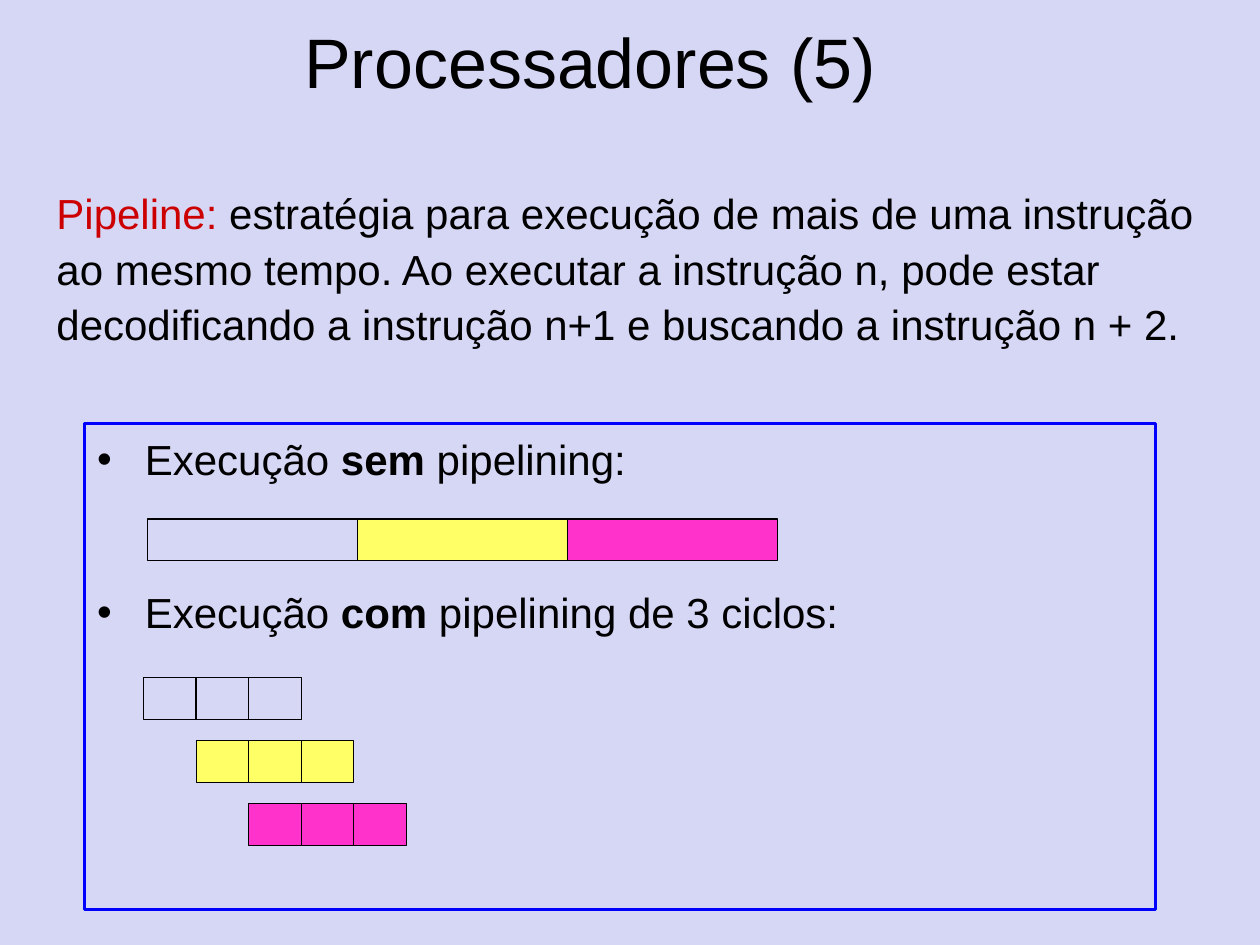
"""Build the slide on instruction pipelining."""
from dataclasses import dataclass

import pptx
import pptx.dml.color
import pptx.enum.shapes
import pptx.enum.text
import pptx.util
from lxml import etree
from pptx.oxml.ns import qn

Inches = pptx.util.Inches
Pt = pptx.util.Pt
RGB = pptx.dml.color.RGBColor.from_string


@dataclass
class Theme:
    back: str = "D6D6F5"
    ink: str = "000000"
    accent: str = "CC0000"
    frame: str = "0000FF"
    yellow: str = "FFFF66"
    pink: str = "FF33CC"
    font: str = "Arial"
    title: int = 40
    body: int = 24


theme = Theme()


def add_run(p, text, size=theme.body, color=theme.ink, bold=False):
    r = p.add_run()
    r.text = text
    r.font.name = theme.font
    r.font.size = Pt(size)
    r.font.bold = bold
    r.font.color.rgb = RGB(color)


def add_cell(s, left, top, width, fill):
    sp = s.shapes.add_shape(pptx.enum.shapes.MSO_SHAPE.RECTANGLE, Inches(left), Inches(top), Inches(width), Inches(0.33))
    sp.shadow.inherit = False
    if fill:
        sp.fill.solid()
        sp.fill.fore_color.rgb = RGB(fill)
    else:
        sp.fill.background()
    sp.line.color.rgb = RGB(theme.ink)
    sp.line.width = Pt(0.75)


prs = pptx.Presentation()
prs.slide_width, prs.slide_height = Inches(10), Inches(7.5)
s = prs.slides.add_slide(prs.slide_layouts[1])
s.background.fill.solid()
s.background.fill.fore_color.rgb = RGB(theme.back)

title = s.shapes.title
title.left, title.top, title.width, title.height = Inches(0.51), Inches(0), Inches(8.5), Inches(0.96)
title.text_frame.vertical_anchor = pptx.enum.text.MSO_ANCHOR.MIDDLE
p = title.text_frame.paragraphs[0]
p.alignment = pptx.enum.text.PP_ALIGN.CENTER
add_run(p, "Processadores (5) ", size=theme.title)

body = s.placeholders[1]
body.left, body.top, body.width, body.height = Inches(0.67), Inches(3.36), Inches(8.5), Inches(3.86)
body.line.color.rgb = RGB(theme.frame)
body.line.width = Pt(1.5)
tf = body.text_frame
tf.auto_size = pptx.enum.text.MSO_AUTO_SIZE.NONE
tf.margin_top = Inches(0.08)
bullets = [("sem", " pipelining:", 0), ("com", " pipelining de 3 ciclos:", 58.7)]
for i, (word, ending, gap) in enumerate(bullets):
    p = tf.add_paragraph() if i else tf.paragraphs[0]
    p.space_before = Pt(gap)
    pPr = p._p.get_or_add_pPr()
    pPr.set("marL", str(Inches(0.38)))
    pPr.set("indent", str(-Inches(0.38)))
    etree.SubElement(pPr, qn("a:buChar")).set("char", "•")
    add_run(p, "Execução ")
    add_run(p, word, bold=True)
    add_run(p, ending)

long_step, short_step = 1.667, 0.417
for row, fill in enumerate([None, theme.yellow, theme.pink]):
    add_cell(s, 1.17 + row * long_step, 4.12, long_step, fill)
    for stage in range(3):
        add_cell(s, 1.14 + (row + stage) * short_step, 5.38 + row * 0.5, short_step, fill)

box = s.shapes.add_textbox(Inches(0.35), Inches(1.37), Inches(9.37), Inches(1.43))
tf = box.text_frame
tf.word_wrap = True
tf.margin_top = Inches(0.08)
p = tf.paragraphs[0]
p.line_spacing = 1.1
add_run(p, "Pipeline: ", color=theme.accent)
add_run(p, "estratégia para execução de mais de uma instrução ao mesmo tempo. Ao executar a instrução n, "
           "pode estar decodificando a instrução n+1 e buscando a instrução n + 2.")

prs.save("out.pptx")
